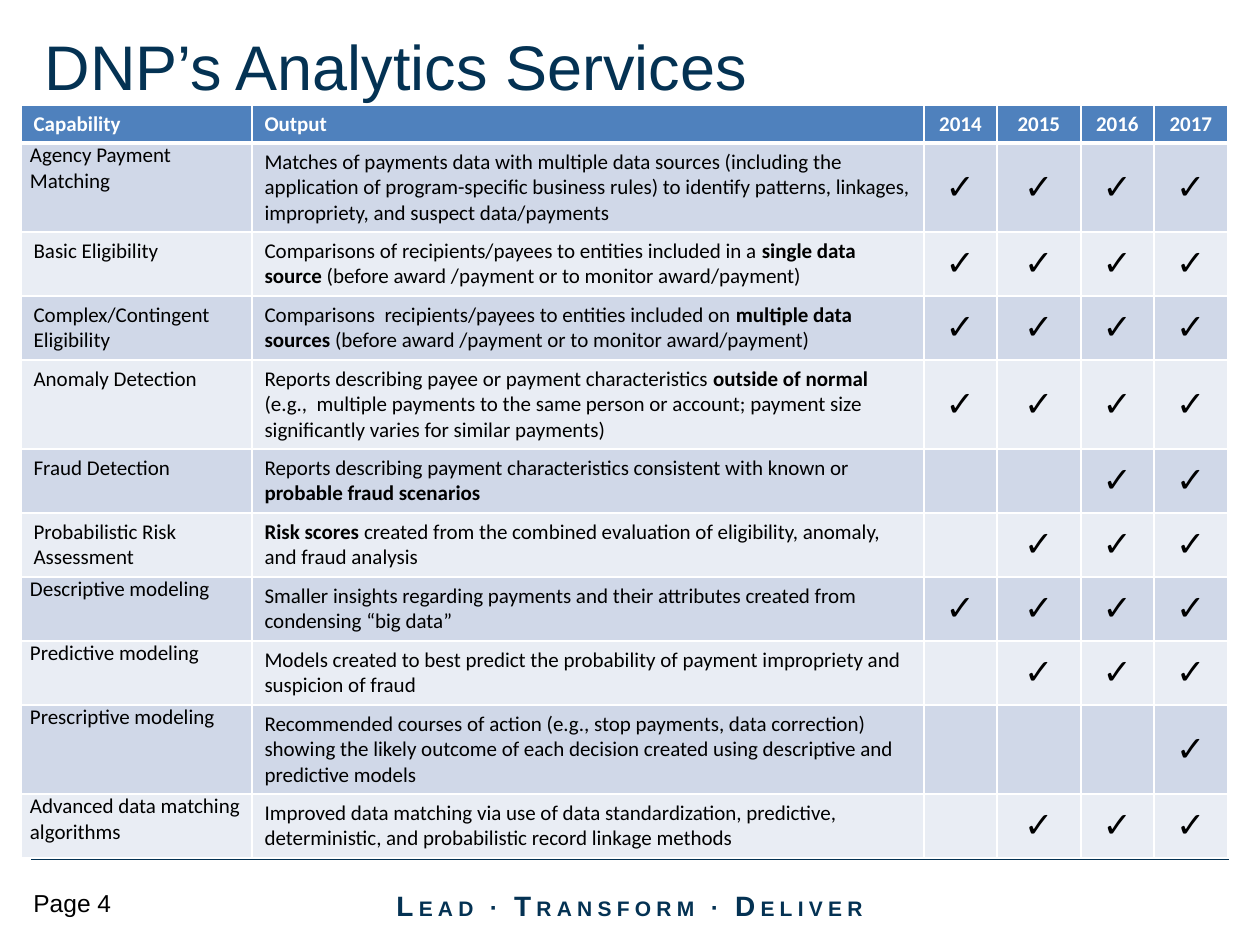
from lxml.etree import SubElement
from pptx import Presentation
from pptx.dml.color import RGBColor
from pptx.enum.shapes import MSO_CONNECTOR
from pptx.enum.text import MSO_ANCHOR, MSO_AUTO_SIZE, PP_ALIGN
from pptx.oxml.ns import qn
from pptx.util import Emu, Pt

NAVY = RGBColor(0x04, 0x32, 0x53)
BLACK = RGBColor(0, 0, 0)
WHITE = RGBColor(0xFF, 0xFF, 0xFF)
HEADER_BLUE = RGBColor(0x4F, 0x81, 0xBD)
BAND_DARK = RGBColor(0xD0, 0xD8, 0xE8)
BAND_LIGHT = RGBColor(0xE9, 0xED, 0xF4)

PX_PER_INCH = 126
YEARS = [2014, 2015, 2016, 2017]
COLUMN_WIDTHS = [231, 672, 73, 84, 73, 74]
HEADER_HEIGHT = 38
LINES_TO_HEIGHT = {2: 64, 3: 89}

# Capability, output (** marks bold), first year offered, text lines, tight label margins
SERVICES = [
    ("Agency Payment Matching",
     "Matches of payments data with multiple data sources (including the application of "
     "program-specific business rules) to identify patterns, linkages, impropriety, and "
     "suspect data/payments", 2014, 3, True),
    ("Basic Eligibility",
     "Comparisons of recipients/payees to entities included in a **single data source** "
     "(before award /payment or to monitor award/payment)", 2014, 2, False),
    ("Complex/Contingent Eligibility",
     "Comparisons  recipients/payees to entities included on **multiple data sources** "
     "(before award /payment or to monitor award/payment)", 2014, 2, False),
    ("Anomaly Detection",
     "Reports describing payee or payment characteristics **outside of normal **"
     "(e.g.,  multiple payments to the same person or account; payment size "
     "significantly varies for similar payments)", 2014, 3, False),
    ("Fraud Detection",
     "Reports describing payment characteristics consistent with known or "
     "**probable fraud scenarios**", 2016, 2, False),
    ("Probabilistic Risk Assessment",
     "**Risk scores **created from the combined evaluation of eligibility, anomaly, "
     "and fraud analysis", 2015, 2, False),
    ("Descriptive modeling",
     "Smaller insights regarding payments and their attributes created from "
     "condensing “big data”", 2014, 2, True),
    ("Predictive modeling",
     "Models created to best predict the probability of payment impropriety and "
     "suspicion of fraud", 2015, 2, True),
    ("Prescriptive modeling",
     "Recommended courses of action (e.g., stop payments, data correction) showing the "
     "likely outcome of each decision created using descriptive and predictive models",
     2017, 3, True),
    ("Advanced data matching algorithms",
     "Improved data matching via use of data standardization, predictive, "
     "deterministic, and probabilistic record linkage methods", 2015, 2, True),
]

MOTTO = [("L", 16), ("EAD ", 12), ("∙ ", 14), ("T", 16), ("RANSFORM ", 12),
         ("∙ ", 14), ("D", 16), ("ELIVER", 12)]


def px(length):
    return Emu(round(length * 914400 / PX_PER_INCH))


def set_font(font, name, color, size=None, bold=None):
    font.name = name
    font.color.rgb = color
    font.bold = bold
    if size:
        font.size = Pt(size)


def add_rule(slide, y, width):
    rule = slide.shapes.add_connector(MSO_CONNECTOR.STRAIGHT, px(31), px(y), px(1229), px(y))
    rule.line.color.rgb = NAVY
    rule.line.width = Pt(width)
    SubElement(rule._element.spPr, qn("a:effectLst"))


def add_title(slide, text):
    title = slide.shapes.title
    title.left, title.top, title.width, title.height = px(32), px(21), px(1197), px(95)
    frame = title.text_frame
    frame.auto_size = MSO_AUTO_SIZE.NONE
    frame.vertical_anchor = MSO_ANCHOR.TOP
    frame.text = text
    frame.paragraphs[0].alignment = PP_ALIGN.LEFT
    set_font(frame.paragraphs[0].font, "Arial", NAVY, 36)


def add_text_box(slide, left, top, width, height):
    frame = slide.shapes.add_textbox(px(left), px(top), px(width), px(height)).text_frame
    frame.word_wrap = True
    return frame


def add_motto(slide):
    frame = add_text_box(slide, 356, 880, 547, 50)
    frame.vertical_anchor = MSO_ANCHOR.MIDDLE
    paragraph = frame.paragraphs[0]
    paragraph.alignment = PP_ALIGN.CENTER
    set_font(paragraph.font, "Arial", NAVY, bold=True)
    for text, size in MOTTO:
        run = paragraph.add_run()
        run.text = text
        run.font.size = Pt(size)
        run.font._element.set("spc", "300")


def add_page_number(slide, text):
    paragraph = add_text_box(slide, 21, 882, 158, 42).paragraphs[0]
    paragraph.text = text
    set_font(paragraph.font, "Arial", BLACK, 14)


def style_cell(cell, fill, bottom_width=1):
    properties = cell._tc.get_or_add_tcPr()
    for side, width in (("L", 1), ("R", 1), ("T", 1), ("B", bottom_width)):
        line = SubElement(properties, qn(f"a:ln{side}"), w=str(Pt(width)))
        SubElement(SubElement(line, qn("a:solidFill")), qn("a:srgbClr"), val=str(WHITE))
    cell.fill.solid()
    cell.fill.fore_color.rgb = fill


def write_cell(cell, text, color=BLACK, size=12, bold=False, align=None):
    paragraph = cell.text_frame.paragraphs[0]
    paragraph.alignment = align
    set_font(paragraph.font, "Calibri", color, size, bold)
    for index, part in enumerate(text.split("**")):
        if part:
            run = paragraph.add_run()
            run.text = part
            run.font.bold = bold or index % 2 == 1


def fill_header(table):
    table.rows[0].height = px(HEADER_HEIGHT)
    for column, heading in enumerate(["Capability", "Output", *map(str, YEARS)]):
        cell = table.cell(0, column)
        style_cell(cell, HEADER_BLUE, bottom_width=3)
        align = PP_ALIGN.CENTER if column > 1 else None
        write_cell(cell, heading, WHITE, bold=True, align=align)


def fill_service(table, row, service):
    capability, output, first_year, lines, tight = service
    table.rows[row].height = px(LINES_TO_HEIGHT[lines])
    cells = list(table.rows[row].cells)
    for cell in cells:
        style_cell(cell, BAND_DARK if row % 2 else BAND_LIGHT)
    if tight:
        cells[0].margin_left = cells[0].margin_right = px(9)
        cells[0].margin_top = cells[0].margin_bottom = 0
    write_cell(cells[0], capability)
    write_cell(cells[1], output)
    for cell, year in zip(cells[2:], YEARS):
        if year >= first_year:
            cell.vertical_anchor = MSO_ANCHOR.MIDDLE
            write_cell(cell, "✓", size=20, align=PP_ALIGN.CENTER)


def add_services_table(slide):
    height = HEADER_HEIGHT + sum(LINES_TO_HEIGHT[service[3]] for service in SERVICES)
    table = slide.shapes.add_table(len(SERVICES) + 1, len(COLUMN_WIDTHS), px(21), px(105),
                                   px(sum(COLUMN_WIDTHS)), px(height)).table
    for column, width in zip(table.columns, COLUMN_WIDTHS):
        column.width = px(width)
    fill_header(table)
    for row, service in enumerate(SERVICES, start=1):
        fill_service(table, row, service)


def main():
    presentation = Presentation()
    presentation.slide_width, presentation.slide_height = px(1260), px(945)
    slide = presentation.slides.add_slide(presentation.slide_layouts[5])

    # Footer and rules
    add_rule(slide, 859, 0.75)
    add_motto(slide)
    add_rule(slide, 123, 2.25)
    add_page_number(slide, "Page 4")

    # Heading and capability matrix
    add_title(slide, "DNP’s Analytics Services")
    add_services_table(slide)

    presentation.save("out.pptx")


if __name__ == "__main__":
    main()
